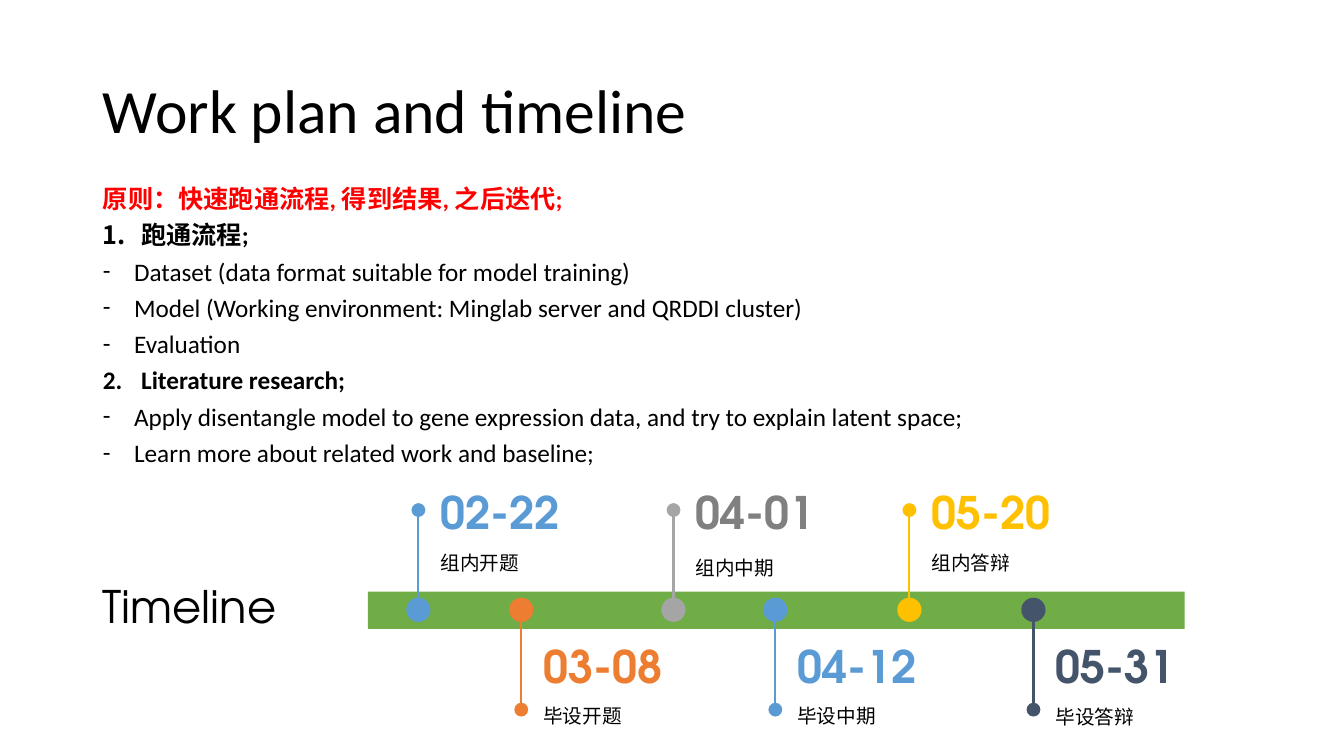
from lxml import etree
from pptx import Presentation
from pptx.dml.color import RGBColor
from pptx.enum.shapes import MSO_CONNECTOR, MSO_SHAPE
from pptx.enum.text import MSO_ANCHOR, MSO_AUTO_SIZE, PP_ALIGN
from pptx.oxml.ns import qn
from pptx.util import Inches, Pt

RECTANGLE, OVAL = MSO_SHAPE.RECTANGLE, MSO_SHAPE.OVAL
STRAIGHT = MSO_CONNECTOR.STRAIGHT
LEFT, MIDDLE, TOP = PP_ALIGN.LEFT, MSO_ANCHOR.MIDDLE, MSO_ANCHOR.TOP
NO_AUTOFIT = MSO_AUTO_SIZE.NONE

BLACK = RGBColor(0x00, 0x00, 0x00)
RED = RGBColor(0xFF, 0x00, 0x00)
GREEN = RGBColor(0x70, 0xAD, 0x47)
BLUE = RGBColor(0x5B, 0x9B, 0xD5)
ORANGE = RGBColor(0xED, 0x7D, 0x31)
GRAY = RGBColor(0xA5, 0xA5, 0xA5)
DARK_GRAY = RGBColor(0x80, 0x80, 0x80)
GOLD = RGBColor(0xFF, 0xC0, 0x00)
NAVY = RGBColor(0x44, 0x54, 0x6A)

TEXT_FONT, TIMELINE_FONT = "Calibri", "TeX Gyre Adventor"

MARGIN, CONTENT_WIDTH = 0.92, 11.5
BAR_LEFT, BAR_TOP, BAR_WIDTH, BAR_HEIGHT = 3.65, 5.87, 8.1, 0.37
DOT = 0.24
DOT_TOP = 5.93
STEM = 0.87

presentation = Presentation()
presentation.slide_width = Inches(13.33)
presentation.slide_height = Inches(7.5)
slide = presentation.slides.add_slide(presentation.slide_layouts[1])


def add_label(text, left, top, width, height, size, color=BLACK, bold=False,
              wrap=False, line_spacing=1.0):
    box = slide.shapes.add_textbox(Inches(left), Inches(top), Inches(width), Inches(height))
    box.text_frame.word_wrap = wrap
    paragraph = box.text_frame.paragraphs[0]
    paragraph.text = text
    paragraph.line_spacing = line_spacing
    paragraph.font.name = TIMELINE_FONT
    paragraph.font.size = Pt(size)
    paragraph.font.bold = bold
    paragraph.font.color.rgb = color


def add_filled(kind, left, top, width, height, color):
    shape = slide.shapes.add_shape(kind, Inches(left), Inches(top), Inches(width), Inches(height))
    shape.shadow.inherit = False
    shape.fill.solid()
    shape.fill.fore_color.rgb = color
    shape.line.fill.background()


# Timeline: dot position, date, label, dot colour, date colour, above the bar, label top
add_filled(RECTANGLE, BAR_LEFT, BAR_TOP, BAR_WIDTH, BAR_HEIGHT, GREEN)
milestones = [
    (4.15, "02-22", "组内开题", BLUE, BLUE, True, 5.35),
    (5.17, "03-08", "毕设开题", ORANGE, ORANGE, False, 6.86),
    (6.68, "04-01", "组内中期", GRAY, DARK_GRAY, True, 5.4),
    (7.69, "04-12", "毕设中期", BLUE, BLUE, False, 6.86),
    (9.02, "05-20", "组内答辩", GOLD, GOLD, True, 5.35),
    (10.25, "05-31", "毕设答辩", NAVY, NAVY, False, 6.87),
]
for center, date, label, color, date_color, above, label_top in milestones:
    add_filled(OVAL, center - DOT / 2, DOT_TOP, DOT, DOT, color)
    start = DOT_TOP if above else DOT_TOP + DOT
    end = start - STEM if above else start + STEM
    stem = slide.shapes.add_connector(STRAIGHT, Inches(center), Inches(start),
                                      Inches(center), Inches(end))
    stem.line.color.rgb = color
    stem.line.width = Pt(1.5)
    etree.SubElement(stem.line._get_or_add_ln(), qn("a:tailEnd"), type="oval", w="lg", len="lg")
    etree.SubElement(stem._element.spPr, qn("a:effectLst"))
    text_left = center + DOT / 2
    add_label(label, text_left, label_top, 1.25, 0.41, 14, wrap=True, line_spacing=1.3)
    add_label(date, text_left, 4.76 if above else 6.29, 1.39, 0.64, 32, date_color, bold=True)

add_label("Timeline", MARGIN, 5.69, 1.94, 0.64, 32)

# Title
title = slide.shapes.title
title.left, title.top = Inches(MARGIN), Inches(0.4)
title.width, title.height = Inches(CONTENT_WIDTH), Inches(1.45)
title.text_frame.vertical_anchor = MIDDLE
title.text_frame.auto_size = NO_AUTOFIT
heading = title.text_frame.paragraphs[0]
heading.text = "Work plan and timeline"
heading.alignment = LEFT
heading.line_spacing = 0.9
heading.font.name = TEXT_FONT
heading.font.size = Pt(44)
heading.font.color.rgb = BLACK

# Work plan: marker and text; a number marks a bold step, a dash its details
plan = [
    (None, "原则：快速跑通流程, 得到结果, 之后迭代;"),
    (1, "跑通流程;"),
    ("-", "Dataset (data format suitable for model training)"),
    ("-", "Model (Working environment: Minglab server and QRDDI cluster)"),
    ("-", "Evaluation"),
    (2, "Literature research;"),
    ("-", "Apply disentangle model to gene expression data, and try to explain latent space;"),
    ("-", "Learn more about related work and baseline;"),
]
body = slide.placeholders[1]
body.left, body.top = Inches(MARGIN), Inches(1.71)
body.width, body.height = Inches(CONTENT_WIDTH), Inches(3.01)
frame = body.text_frame
frame.vertical_anchor = TOP
frame.auto_size = NO_AUTOFIT
for index, (marker, text) in enumerate(plan):
    paragraph = frame.paragraphs[0] if index == 0 else frame.add_paragraph()
    paragraph.text = text
    paragraph.line_spacing = 1.2
    paragraph.space_before = Pt(0)
    properties = paragraph._p.get_or_add_pPr()
    if marker is None:
        indent = 0
        etree.SubElement(properties, qn("a:buNone"))
    elif marker == "-":
        indent = Inches(0.31)
        etree.SubElement(properties, qn("a:buFontTx"))
        etree.SubElement(properties, qn("a:buChar"), char=marker)
    else:
        indent = Inches(0.38)
        etree.SubElement(properties, qn("a:buFont"), typeface="+mj-lt")
        etree.SubElement(properties, qn("a:buAutoNum"), type="arabicPeriod", startAt=str(marker))
    properties.set("marL", str(indent))
    properties.set("indent", str(-indent))
    paragraph.font.name = TEXT_FONT
    paragraph.font.size = Pt(18)
    paragraph.font.bold = marker != "-"
    paragraph.font.color.rgb = RED if marker is None else BLACK

presentation.save("out.pptx")
